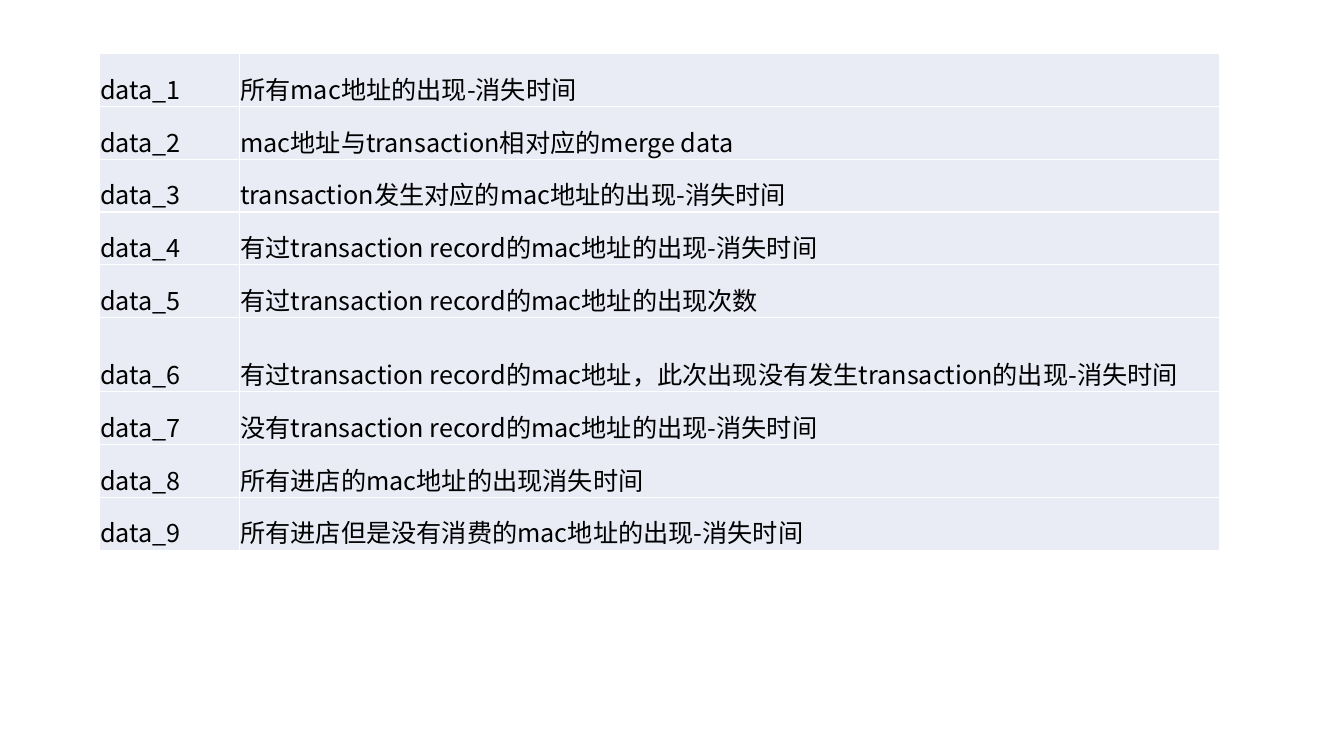
import pptx
import pptx.util
import pptx.dml.color
import pptx.enum.text
import pptx.oxml.ns
import lxml.etree

Pt = pptx.util.Pt
COLOURS = {"text": "000000", "cell": "E9EBF5", "border": "FFFFFF"}
FONT = "Noto Sans CJK SC"
CELL_FORMAT = {
    "margin_left": Pt(0.75),
    "margin_right": Pt(0.75),
    "margin_top": Pt(0.75),
    "margin_bottom": Pt(0),
    "vertical_anchor": pptx.enum.text.MSO_ANCHOR.BOTTOM,
}
FONT_FORMAT = {"name": FONT, "size": Pt(18), "bold": False}
DESCRIPTIONS = [
    "所有mac地址的出现-消失时间",
    "mac地址与transaction相对应的merge data",
    "transaction发生对应的mac地址的出现-消失时间",
    "有过transaction record的mac地址的出现-消失时间",
    "有过transaction record的mac地址的出现次数",
    "有过transaction record的mac地址，此次出现没有发生transaction的出现-消失时间",
    "没有transaction record的mac地址的出现-消失时间",
    "所有进店的mac地址的出现消失时间",
    "所有进店但是没有消费的mac地址的出现-消失时间",
]


def colour(name):
    return pptx.dml.color.RGBColor.from_string(COLOURS[name])


def apply_format(target, values):
    for name, value in values.items():
        setattr(target, name, value)


def add_borders(cell):
    qn = pptx.oxml.ns.qn
    properties = cell._tc.get_or_add_tcPr()
    for side in ("lnL", "lnR", "lnT", "lnB"):
        line = lxml.etree.SubElement(properties, qn("a:" + side), w=str(Pt(1)))
        fill = lxml.etree.SubElement(line, qn("a:solidFill"))
        lxml.etree.SubElement(fill, qn("a:srgbClr"), val=COLOURS["border"])


def fill_cell(cell, text):
    apply_format(cell, CELL_FORMAT)
    add_borders(cell)
    cell.fill.solid()
    cell.fill.fore_color.rgb = colour("cell")
    span = cell.text_frame.paragraphs[0].add_run()
    span.text = text
    apply_format(span.font, FONT_FORMAT)
    span.font.color.rgb = colour("text")
    lxml.etree.SubElement(
        span.font._element, pptx.oxml.ns.qn("a:ea"), typeface=FONT
    )


def add_data_table(page, left, top, width, height, name_width):
    """Lists each data set's name beside its description."""
    table = page.shapes.add_table(
        len(DESCRIPTIONS), 2, Pt(left), Pt(top), Pt(width), Pt(height)
    ).table
    apply_format(table, {"first_row": False, "horz_banding": False})
    for column, column_width in zip(table.columns, (name_width, width - name_width)):
        column.width = Pt(column_width)
    for number, (row, description) in enumerate(zip(table.rows, DESCRIPTIONS), 1):
        row.height = Pt(height / len(DESCRIPTIONS))
        for cell, text in zip(row.cells, (f"data_{number}", description)):
            fill_cell(cell, text)


def main():
    deck = pptx.Presentation()
    apply_format(deck, {"slide_width": Pt(960), "slide_height": Pt(540)})
    page = deck.slides.add_slide(deck.slide_layouts[6])
    add_data_table(page, left=70.9, top=38.3, width=800.3, height=339.8, name_width=100)
    deck.save("out.pptx")


if __name__ == "__main__":
    main()
